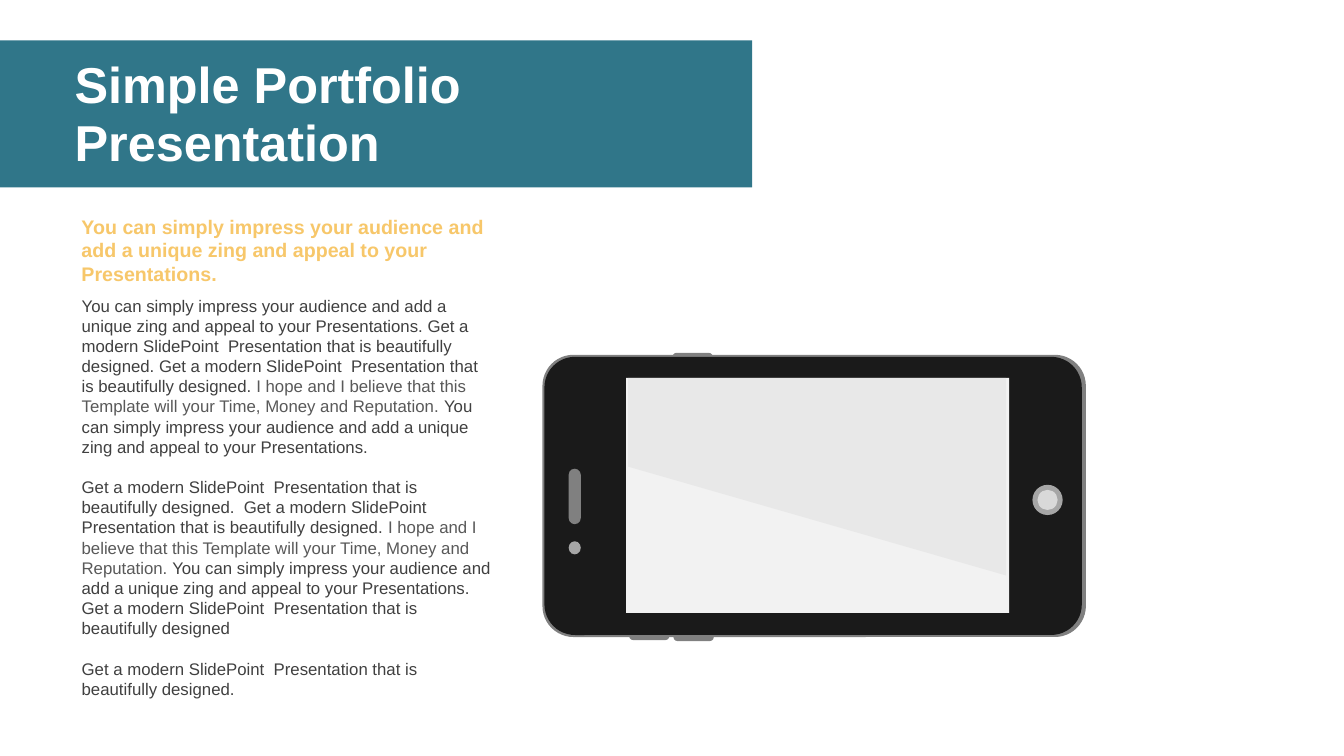
from dataclasses import dataclass
from lxml.etree import SubElement
from pptx import Presentation
from pptx.dml.color import RGBColor
from pptx.enum.shapes import MSO_SHAPE
from pptx.enum.text import MSO_ANCHOR, MSO_AUTO_SIZE, PP_ALIGN
from pptx.oxml.ns import qn
from pptx.util import Inches, Pt


@dataclass(frozen=True)
class Theme:
    font: str = "Arial"
    teal: str = "307689"
    gold: str = "F7C76A"
    white: str = "FFFFFF"
    dark: str = "404040"
    soft: str = "595959"
    rim: str = "808080"
    case: str = "1A1A1A"
    glass: str = "F2F2F2"
    glare: str = "999999"
    ring: str = "A6A6A6"
    key: str = "D9D9D9"
    head: int = 36
    lead: int = 14
    body: int = 12


THEME = Theme()
IMPRESS = "You can simply impress your audience and add a unique zing and appeal to your Presentations."
MODERN = "Get a modern SlidePoint  Presentation that is beautifully designed"
HOPE = "I hope and I believe that this Template will your Time, Money and Reputation. "


def paint(shape, color):
    shape.shadow.inherit = False
    shape.fill.solid()
    shape.fill.fore_color.rgb = RGBColor.from_string(color)
    shape.line.fill.background()
    return shape


def draw(slide, kind, box, color, round=None):
    shape = slide.shapes.add_shape(kind, *map(Inches, box))
    if round is not None:
        shape.adjustments[0] = round
    return paint(shape, color)


def write(shape, box, paras, size, bold=False, gap=0, pitch=None, anchor=MSO_ANCHOR.TOP):
    """Fill a shape with paragraphs, each a list of (text, color) runs."""
    shape.left, shape.top, shape.width, shape.height = map(Inches, box)
    frame = shape.text_frame
    frame.word_wrap = True
    frame.auto_size = MSO_AUTO_SIZE.NONE
    frame.vertical_anchor = anchor
    for i, runs in enumerate(paras):
        para = frame.add_paragraph() if i else frame.paragraphs[0]
        props = para._p.get_or_add_pPr()
        props.set("marL", "0")
        props.set("indent", "0")
        SubElement(props, qn("a:buNone"))
        para.alignment = PP_ALIGN.LEFT
        para.space_before = Pt(gap if i else 0)
        if pitch:
            para.line_spacing = pitch
        for text, color in runs:
            run = para.add_run()
            run.text = text
            run.font.name = THEME.font
            run.font.size = Pt(size)
            run.font.bold = bold
            run.font.color.rgb = RGBColor.from_string(color)


def banner(slide, box):
    x, y, w, h = box
    band = draw(slide, MSO_SHAPE.RECTANGLE, box, THEME.teal)
    slide.shapes._spTree.insert(2, band._element)  # behind the title
    lines = [[(text, THEME.white)] for text in ("Simple Portfolio", "Presentation")]
    write(slide.shapes.title, (x + 0.64, y + 0.04, 4.69, h), lines, THEME.head,
          bold=True, gap=7.2, pitch=0.8, anchor=MSO_ANCHOR.MIDDLE)


def column(slide, box):
    x, y, w, h = box
    lead = slide.shapes.add_textbox(0, 0, 0, 0)
    write(lead, (x, y, w, 0.81), [[(IMPRESS, THEME.gold)]], THEME.lead, bold=True)
    dark, soft = THEME.dark, THEME.soft
    paras = [
        [(f"{IMPRESS} {MODERN}. {MODERN}. ", dark), (HOPE, soft), (IMPRESS, dark)],
        [(f"{MODERN}.  {MODERN}. ", dark), (HOPE, soft), (f"{IMPRESS} {MODERN}", dark)],
        [(f"{MODERN}.", dark)],
    ]
    write(slide.placeholders[1], (x, y + 0.8, w - 0.19, h - 0.8), paras, THEME.body, gap=14.4)


def phone(slide, box):
    x, y, w, h = box
    pill, oval = MSO_SHAPE.ROUNDED_RECTANGLE, MSO_SHAPE.OVAL
    # Side buttons
    for dx, dy in ((0.86, h - 0.05), (1.3, h - 0.04), (1.29, -0.02)):
        draw(slide, pill, (x + dx, y + dy, 0.4, 0.08), THEME.rim, round=0.5)
    # Case and screen
    draw(slide, pill, box, THEME.rim, round=0.11)
    draw(slide, pill, (x + 0.02, y + 0.02, w - 0.06, h - 0.04), THEME.case, round=0.11)
    draw(slide, MSO_SHAPE.RECTANGLE, (x + 0.83, y + 0.23, 3.8, 2.33), THEME.glass)
    # Home key
    for inset, color in ((0, THEME.ring), (0.05, THEME.key)):
        side = 0.3 - 2 * inset
        draw(slide, oval, (x + 4.86 + inset, y + 1.29 + inset, side, side), color)
    # Glare on the screen
    left, top = x + 0.85, y + 0.22
    pen = slide.shapes.build_freeform(Inches(left), Inches(top))
    corners = ((3.75, 0), (3.75, 1.97), (0, 0.89))
    pen.add_line_segments([(Inches(left + dx), Inches(top + dy)) for dx, dy in corners])
    glare = paint(pen.convert_to_shape(), THEME.glare)
    tint = glare._element.spPr.find(".//" + qn("a:srgbClr"))
    SubElement(tint, qn("a:alpha")).set("val", "10000")
    # Speaker and camera
    draw(slide, pill, (x + 0.26, y + 1.13, 0.12, 0.55), THEME.rim, round=0.5)
    draw(slide, oval, (x + 0.26, y + 1.85, 0.12, 0.13), THEME.ring)


def main():
    deck = Presentation()
    deck.slide_width, deck.slide_height = Inches(13.33), Inches(7.5)
    slide = deck.slides.add_slide(deck.slide_layouts[1])
    banner(slide, (0, 0.4, 7.46, 1.46))
    phone(slide, (5.38, 3.52, 5.39, 2.8))
    column(slide, (0.71, 2.08, 4.48, 4.94))
    deck.save("out.pptx")


if __name__ == "__main__":
    main()
